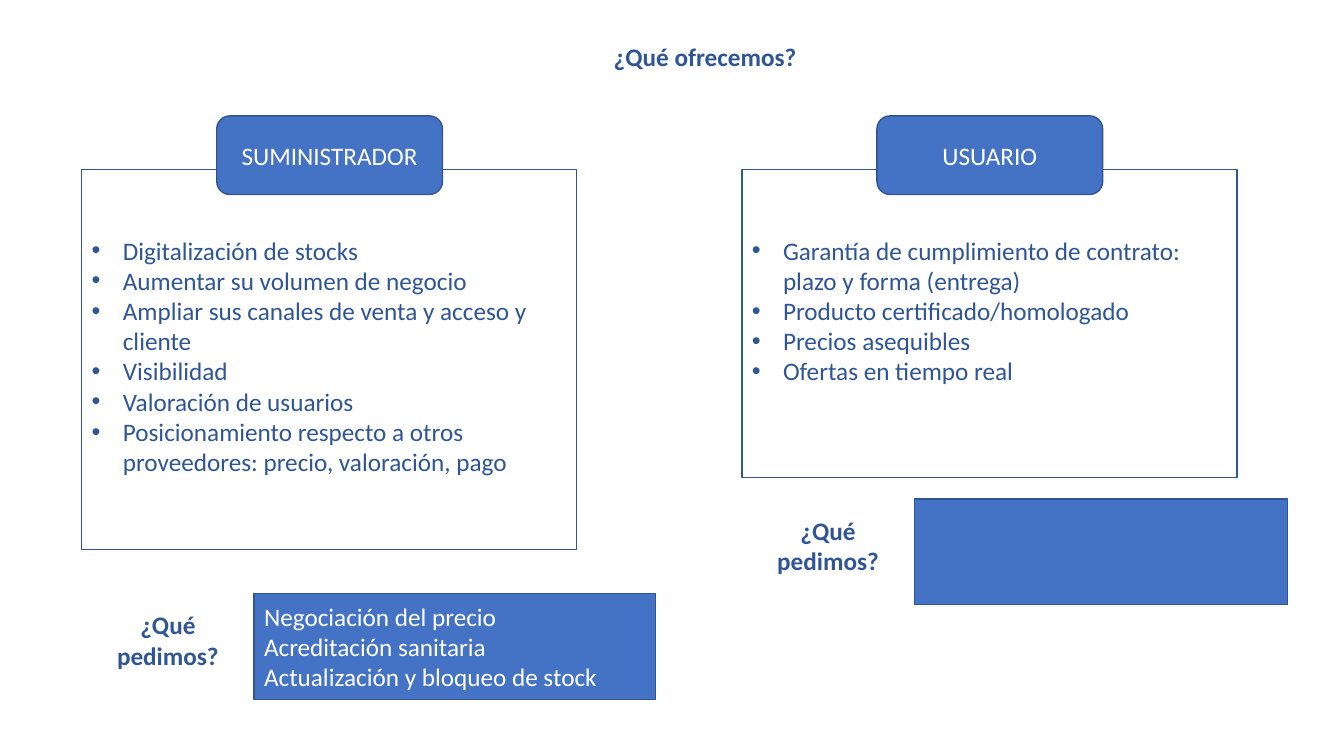
import pptx
import pptx.dml.color
import pptx.enum.shapes
import pptx.enum.text
import pptx.oxml
import pptx.oxml.ns
import pptx.util

SLIDE_WIDTH = pptx.util.Inches(13.33)
SLIDE_HEIGHT = pptx.util.Inches(7.5)
BLUE, OUTLINE, INK, WHITE = "4472C4", "325491", "2F5597", "FFFFFF"
SHAPES = pptx.enum.shapes.MSO_SHAPE
ALIGN = pptx.enum.text.PP_ALIGN
ANCHOR = pptx.enum.text.MSO_ANCHOR

# Each column: left edge, panel height, request top and width (percent of slide)
COLUMNS = [
    dict(left=55.2, panel_height=40.8, request_top=66, request_width=27.76,
         heading="USUARIO", requests=[],
         offers=["Garantía de cumplimiento de contrato: plazo y forma (entrega)",
                 "Producto certificado/homologado",
                 "Precios asequibles",
                 "Ofertas en tiempo real"]),
    dict(left=6.08, panel_height=50.27, request_top=78.53, request_width=29.86,
         heading="SUMINISTRADOR",
         requests=["Negociación del precio",
                   "Acreditación sanitaria",
                   "Actualización y bloqueo de stock"],
         offers=["Digitalización de stocks",
                 "Aumentar su volumen de negocio",
                 "Ampliar sus canales de venta y acceso y cliente",
                 "Visibilidad",
                 "Valoración de usuarios",
                 "Posicionamiento respecto a otros proveedores: precio, valoración, pago"]),
]


def color(code):
    return pptx.dml.color.RGBColor.from_string(code)


def area(left, top, width, height):
    """Turn percentages of the slide into lengths."""
    return (int(SLIDE_WIDTH * left / 100), int(SLIDE_HEIGHT * top / 100),
            int(SLIDE_WIDTH * width / 100), int(SLIDE_HEIGHT * height / 100))


def add_bullet(para):
    properties = para._p.get_or_add_pPr()
    indent = pptx.util.Inches(0.31)
    properties.set("marL", str(indent))
    properties.set("indent", str(-indent))
    for tag, name, value in (("buFont", "typeface", "Arial"), ("buChar", "char", "•")):
        element = pptx.oxml.parse_xml(f"<a:{tag} {pptx.oxml.ns.nsdecls('a')}/>")
        element.set(name, value)
        properties.append(element)


def write(box, lines, ink=INK, bold=False, align=ALIGN.LEFT, anchor=ANCHOR.TOP,
          bullets=False, top_margin=0.05):
    frame = box.text_frame
    frame.word_wrap = True
    frame.vertical_anchor = anchor
    frame.margin_top = pptx.util.Inches(top_margin)
    for index, line in enumerate(lines):
        para = frame.add_paragraph() if index else frame.paragraphs[0]
        para.alignment = align
        if bullets:
            add_bullet(para)
        span = para.add_run()
        span.text = line
        span.font.name = "Calibri"
        span.font.size = pptx.util.Pt(18)
        span.font.bold = bold
        span.font.color.rgb = color(ink)


def add_block(page, place, fill, kind=SHAPES.RECTANGLE):
    box = page.shapes.add_shape(kind, *area(*place))
    box.shadow.inherit = False
    box.fill.solid()
    box.fill.fore_color.rgb = color(fill)
    box.line.color.rgb = color(OUTLINE)
    box.line.width = pptx.util.Pt(1)
    return box


def add_label(page, place, text):
    box = page.shapes.add_textbox(*area(*place))
    write(box, [text], bold=True, align=ALIGN.CENTER)


def add_column(page, left, panel_height, request_top, request_width,
               heading, offers, requests):
    # Panel with the offers, leaving room for the heading above them
    panel = add_block(page, (left, 22.4, 36.83, panel_height), WHITE)
    write(panel, offers, bullets=True, top_margin=0.65)

    # Heading over the panel's top edge
    tab = add_block(page, (left + 10.05, 15.33, 16.8, 10.4), BLUE,
                    SHAPES.ROUNDED_RECTANGLE)
    write(tab, [heading], ink=WHITE, align=ALIGN.CENTER, anchor=ANCHOR.MIDDLE)

    # Requests and their label
    request = add_block(page, (left + 12.83, request_top, request_width, 14), BLUE)
    write(request, requests, ink=WHITE, anchor=ANCHOR.MIDDLE)
    add_label(page, (left, request_top + 1.47, 12.83, 9.47), "¿Qué pedimos?")


def main():
    deck = pptx.Presentation()
    deck.slide_width, deck.slide_height = SLIDE_WIDTH, SLIDE_HEIGHT
    page = deck.slides.add_slide(deck.slide_layouts[6])
    add_label(page, (31.2, 4.8, 42.53, 5.33), "¿Qué ofrecemos?")
    for column in COLUMNS:
        add_column(page, **column)
    deck.save("out.pptx")


if __name__ == "__main__":
    main()
